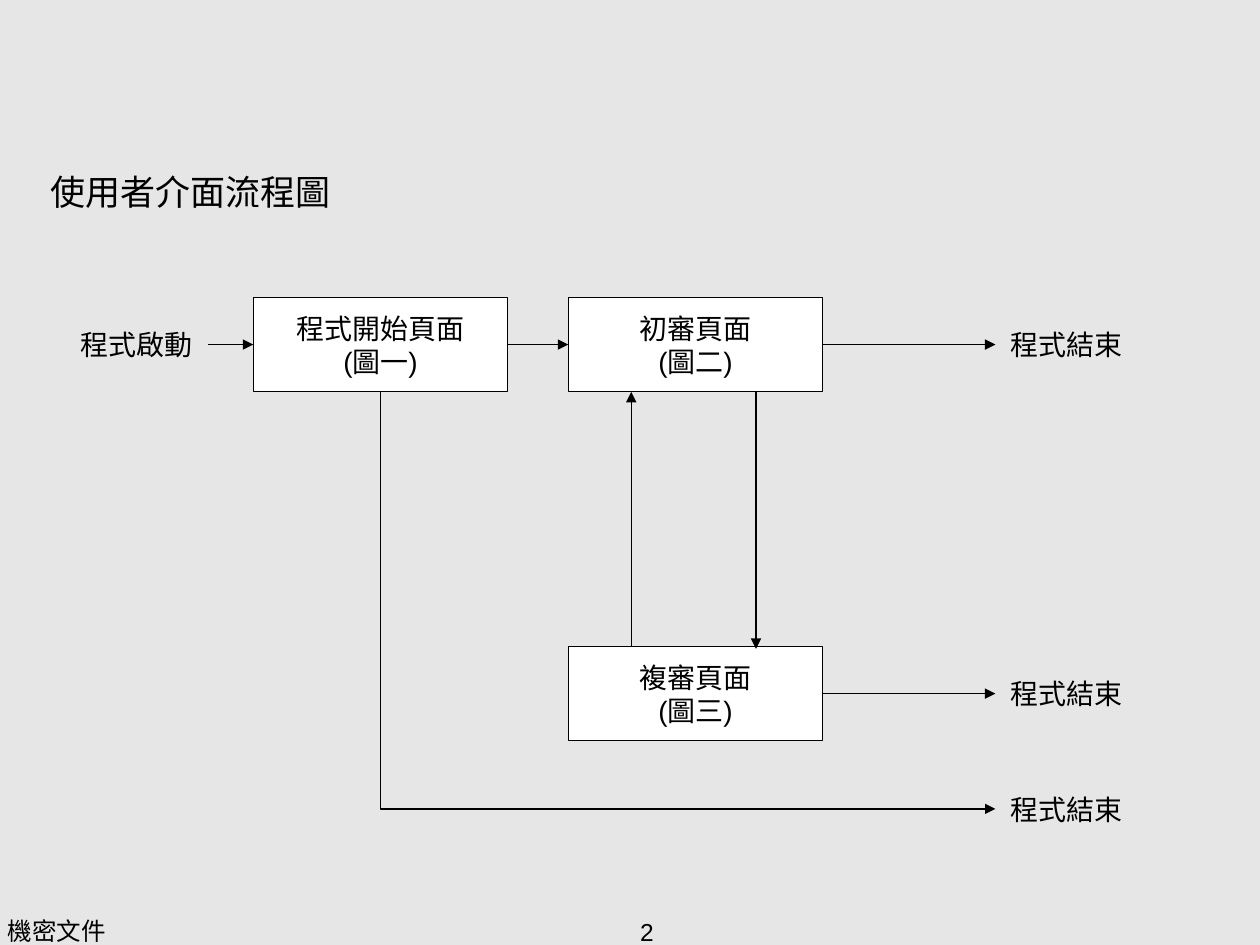
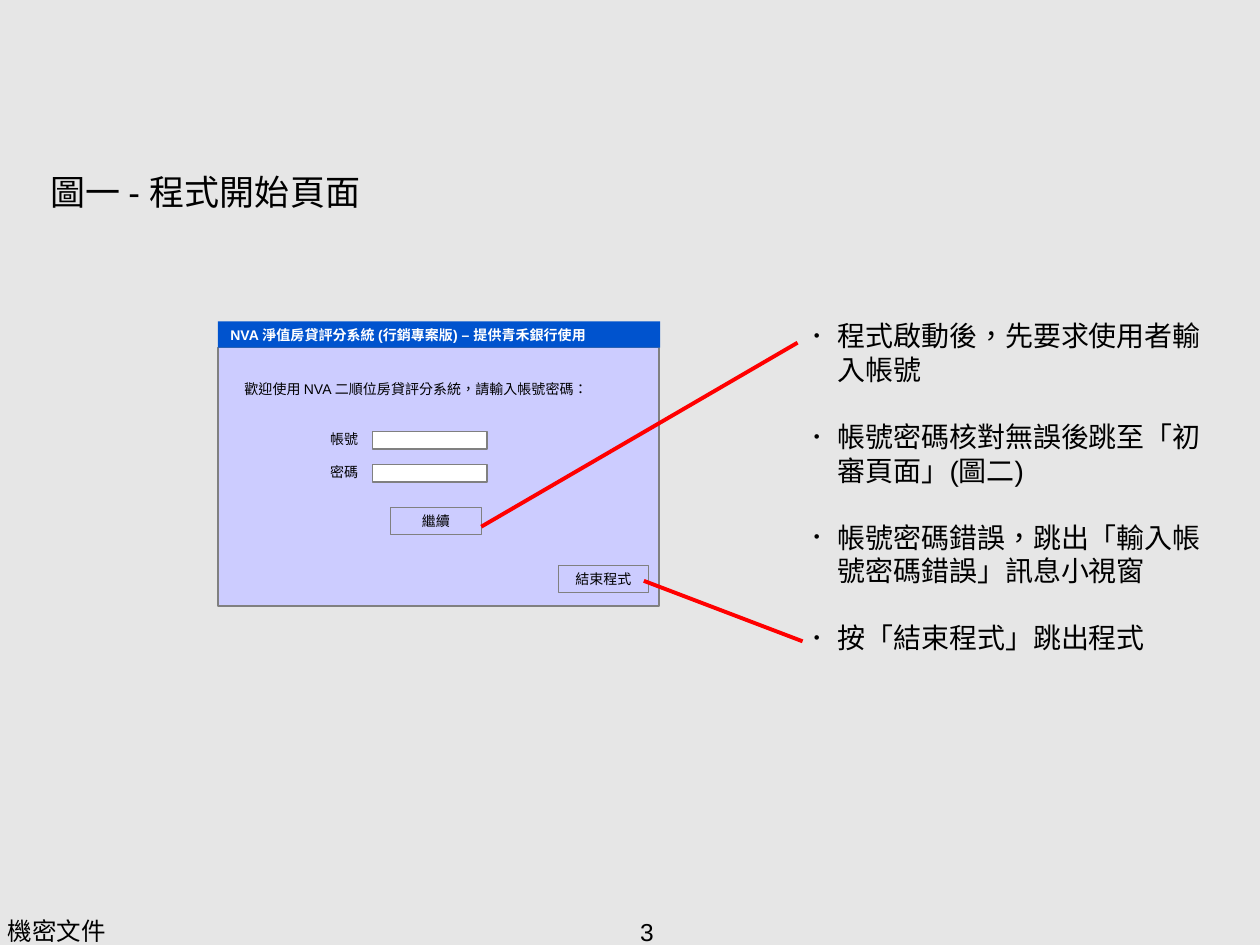
from dataclasses import dataclass

from lxml import etree
from pptx import Presentation
from pptx.dml.color import RGBColor
from pptx.enum.lang import MSO_LANGUAGE_ID
from pptx.enum.shapes import MSO_CONNECTOR, MSO_SHAPE
from pptx.enum.text import MSO_ANCHOR, MSO_AUTO_SIZE, PP_ALIGN
from pptx.oxml.ns import qn
from pptx.util import Inches, Pt

STRAIGHT, ELBOW = MSO_CONNECTOR.STRAIGHT, MSO_CONNECTOR.ELBOW
RECT = MSO_SHAPE.RECTANGLE
TOP, MIDDLE = MSO_ANCHOR.TOP, MSO_ANCHOR.MIDDLE
LEFT, CENTER = PP_ALIGN.LEFT, PP_ALIGN.CENTER
NO_FIT = MSO_AUTO_SIZE.NONE
ZH_TW = MSO_LANGUAGE_ID.TRADITIONAL_CHINESE

FONT = "Arial"
COLORS = {
    "page": "E6E6E6",
    "ink": "000000",
    "white": "FFFFFF",
    "panel": "CCCCFF",
    "border": "808080",
    "caption": "0053CE",
    "callout": "FF0000",
}
SLIDE_W, SLIDE_H = Inches(10), Inches(7.5)
COL, ROW = SLIDE_W / 100, SLIDE_H / 75
TITLE_ONLY, TITLE_AND_BODY = 5, 1
WIDE = (0.1, 0.05, 0.1, 0.05)
TIGHT = (0.04, 0.04, 0.04, 0.04)
NONE = (0, 0, 0, 0)


@dataclass(frozen=True)
class Style:
    size: float = 16
    color: str = "ink"
    bold: bool = False
    align: PP_ALIGN = CENTER
    anchor: MSO_ANCHOR = MIDDLE
    inset: tuple = WIDE


@dataclass(frozen=True)
class Block:
    x: float
    y: float
    w: float
    h: float
    lines: tuple = ()
    style: Style = Style()
    fill: str = ""
    line: str = ""


TITLE = Style(size=20, align=LEFT, anchor=TOP)
LIST = Style(align=LEFT, anchor=TOP)
FOOTER = Style(size=14, align=LEFT, anchor=TOP, inset=NONE)
PAGE_NUMBER = Style(size=14, anchor=TOP)
CAPTION = Style(size=8, color="white", bold=True, align=LEFT, anchor=TOP,
                inset=(0.1, 0.04, 0.1, 0.05))
PROMPT = Style(size=8, align=LEFT, anchor=TOP, inset=(0, 0, 0, 0.04))
FIELD_NAME = Style(size=8, align=LEFT, anchor=TOP, inset=TIGHT)
BUTTON = Style(size=8, anchor=TOP, inset=TIGHT)


def rgb(name: str) -> RGBColor:
    return RGBColor.from_string(COLORS[name])


def place(sp, b: Block) -> None:
    sp.left, sp.top = round(b.x * COL), round(b.y * ROW)
    sp.width, sp.height = round(b.w * COL), round(b.h * ROW)


def write(tf, lines: tuple, style: Style) -> None:
    tf.word_wrap = True
    tf.auto_size = NO_FIT
    tf.vertical_anchor = style.anchor
    tf.margin_left, tf.margin_top, tf.margin_right, tf.margin_bottom = map(
        Inches, style.inset)
    for i, line in enumerate(lines):
        p = tf.add_paragraph() if i else tf.paragraphs[0]
        p.alignment = style.align
        p.space_before = Pt(0)
        r = p.add_run()
        r.text = line
        r.font.name = FONT
        r.font.size = Pt(style.size)
        r.font.bold = style.bold
        r.font.color.rgb = rgb(style.color)
        r.font.language_id = ZH_TW


def draw(shapes, b: Block):
    if b.fill:
        sp = shapes.add_shape(RECT, 0, 0, 0, 0)
        sp.shadow.inherit = False
        sp.fill.solid()
        sp.fill.fore_color.rgb = rgb(b.fill)
        if b.line:
            sp.line.color.rgb = rgb(b.line)
            sp.line.width = Pt(0.75)
        else:
            sp.line.fill.background()
    else:
        sp = shapes.add_textbox(0, 0, 0, 0)
    place(sp, b)
    write(sp.text_frame, b.lines, b.style)
    return sp


def connect(shapes, start: tuple, end: tuple, color: str = "ink",
            width: float = 0.75, arrow: bool = True, kind=STRAIGHT):
    cxn = shapes.add_connector(
        kind, round(start[0] * COL), round(start[1] * ROW),
        round(end[0] * COL), round(end[1] * ROW))
    cxn.line.color.rgb = rgb(color)
    cxn.line.width = Pt(width)
    if arrow:
        etree.SubElement(cxn.line._get_or_add_ln(), qn("a:tailEnd"), type="triangle")
    etree.SubElement(cxn.element.spPr, qn("a:effectLst"))
    return cxn


def join(shapes, source, target) -> None:
    cxn = connect(shapes, (0, 0), (1, 1))
    cxn.begin_connect(source, 3)
    cxn.end_connect(target, 1)


def down_then_right(shapes, start: tuple, end: tuple) -> None:
    mid_x, mid_y = (start[0] + end[0]) / 2, (start[1] + end[1]) / 2
    half_w, half_h = (end[1] - start[1]) / 2, (end[0] - start[0]) / 2
    cxn = connect(shapes, (mid_x + half_w, mid_y - half_h),
                  (mid_x - half_w, mid_y + half_h), kind=ELBOW)
    cxn.element.spPr.find(qn("a:xfrm")).set("rot", str(270 * 60000))
    cxn.element.spPr.find(qn("a:prstGeom")).set("prst", "bentConnector2")


def add_bullet(p) -> None:
    pPr = p._p.get_or_add_pPr()
    pPr.set("marL", str(Inches(0.19)))
    pPr.set("indent", str(-Inches(0.19)))
    color = etree.SubElement(pPr, qn("a:buClr"))
    etree.SubElement(color, qn("a:srgbClr"), val=COLORS["ink"])
    etree.SubElement(pPr, qn("a:buSzPct"), val="60000")
    etree.SubElement(pPr, qn("a:buFont"), typeface=FONT)
    etree.SubElement(pPr, qn("a:buChar"), char="•")


def new_slide(prs, layout: int, title: str, number: int):
    s = prs.slides.add_slide(prs.slide_layouts[layout])
    place(s.shapes.title, Block(3, 13, 92.9, 4.4))
    write(s.shapes.title.text_frame, (title,), TITLE)
    draw(s.shapes, Block(0.6, 72.7, 28.5, 2.3, ("機密文件",), FOOTER))
    draw(s.shapes, Block(39.7, 72.3, 23.3, 2.7, (str(number),), PAGE_NUMBER))
    return s


def build_flow(prs) -> None:
    shapes = new_slide(prs, TITLE_ONLY, "使用者介面流程圖", 2).shapes
    box_w, box_h, label_w, label_h = 20.2, 7.5, 11.3, 3.7
    left, right, end_x = 20.1, 45.1, 79
    upper, lower, exit_y = 27.35, 55.05, 64.2

    def page(x: float, mid: float, name: str, figure: str):
        return draw(shapes, Block(x, mid - box_h / 2, box_w, box_h,
                                  (name, f"({figure})"), fill="white", line="ink"))

    def label(x: float, mid: float, text: str):
        return draw(shapes, Block(x, mid - label_h / 2, label_w, label_h, (text,)))

    start_page = page(left, upper, "程式開始頁面", "圖一")
    first_review = page(right, upper, "初審頁面", "圖二")
    second_review = page(right, lower, "複審頁面", "圖三")
    launch = label(5.2, upper, "程式啟動")
    first_end, second_end, _ = [
        label(end_x, mid, "程式結束") for mid in (upper, lower, exit_y)]

    for source, target in ((launch, start_page), (start_page, first_review),
                           (first_review, first_end), (second_review, second_end)):
        join(shapes, source, target)

    box_bottom, box_top = upper + box_h / 2, lower - box_h / 2
    down_then_right(shapes, (left + box_w / 2, box_bottom), (end_x, exit_y))
    connect(shapes, (50.1, box_top), (50.1, box_bottom))
    connect(shapes, (60, box_bottom), (60, box_top + 0.2))


def build_start_page(prs) -> None:
    s = new_slide(prs, TITLE_AND_BODY, "圖一 - 程式開始頁面", 3)
    body = s.placeholders[1]
    place(body, Block(63.6, 24.8, 32.8, 27.7))
    write(body.text_frame, (
        "程式啟動後，先要求使用者輸入帳號",
        "帳號密碼核對無誤後跳至「初審頁面」(圖二)",
        "帳號密碼錯誤，跳出「輸入帳號密碼錯誤」訊息小視窗",
        "按「結束程式」跳出程式",
    ), LIST)
    for p in body.text_frame.paragraphs:
        p.space_after = Pt(19.2)
        add_bullet(p)

    window = s.shapes.add_group_shape().shapes
    draw(window, Block(17.3, 27.6, 35, 20.5, fill="panel", line="border"))
    draw(window, Block(17.3, 25.5, 35.1, 2.1,
                       ("NVA 淨值房貸評分系統 (行銷專案版) – 提供青禾銀行使用",),
                       CAPTION, "caption"))
    draw(window, Block(19.4, 30.2, 29.8, 1.7,
                       ("歡迎使用 NVA 二順位房貸評分系統，請輸入帳號密碼：",),
                       PROMPT, "panel"))
    for y, name in ((33.8, "帳號"), (36.4, "密碼")):
        draw(window, Block(25.8, y, 3.7, 2.1, (name,), FIELD_NAME, "panel"))
        draw(window, Block(29.55, y + 0.45, 9.1, 1.4, fill="white", line="border"))
    for x, y, name in ((31, 40.3, "繼續"), (44.3, 44.9, "結束程式")):
        draw(window, Block(x, y, 7.2, 2.1, (name,), BUTTON, "panel", "border"))

    for start, end in (((38.2, 41.8), (63.3, 27.2)), ((51.1, 46.1), (63.7, 50.9))):
        connect(s.shapes, start, end, "callout", 2.25, arrow=False)


def main() -> None:
    prs = Presentation()
    prs.slide_width, prs.slide_height = SLIDE_W, SLIDE_H
    fill = prs.slide_master.background.fill
    fill.solid()
    fill.fore_color.rgb = rgb("page")
    build_flow(prs)
    build_start_page(prs)
    prs.save("out.pptx")


if __name__ == "__main__":
    main()
